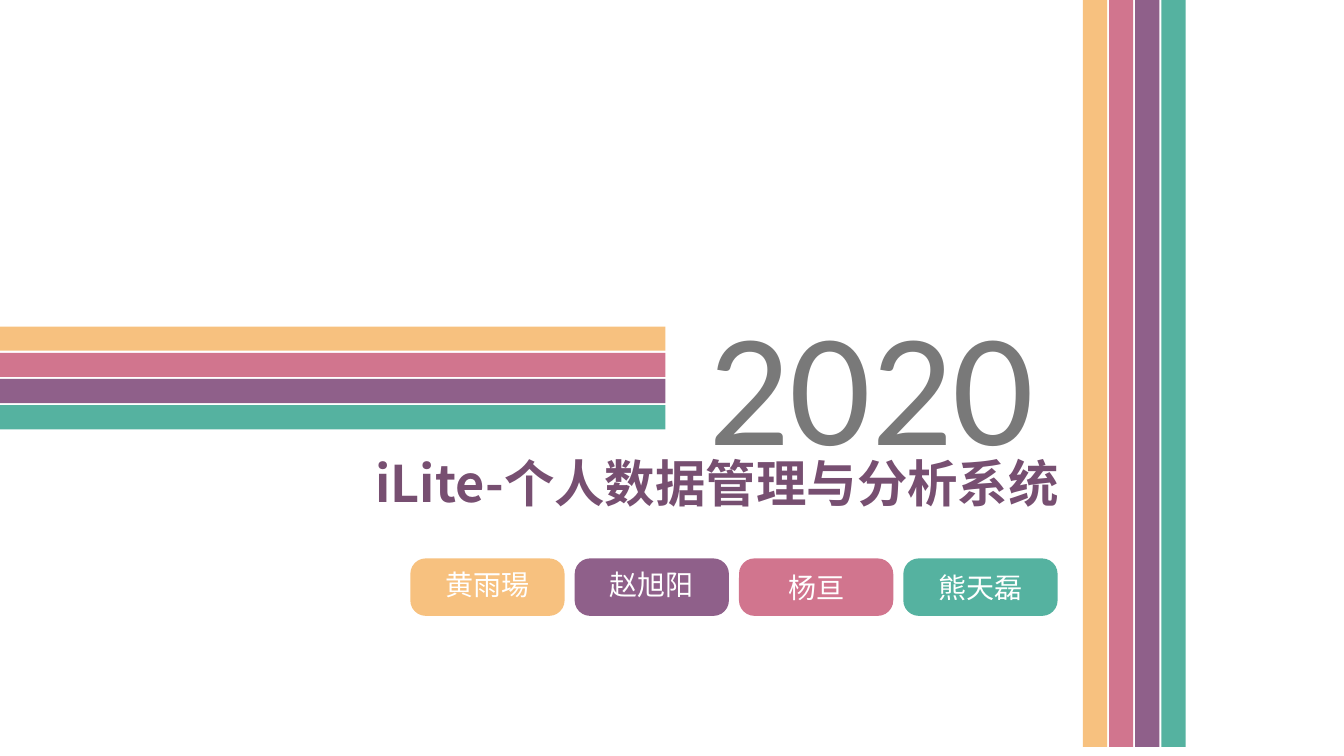
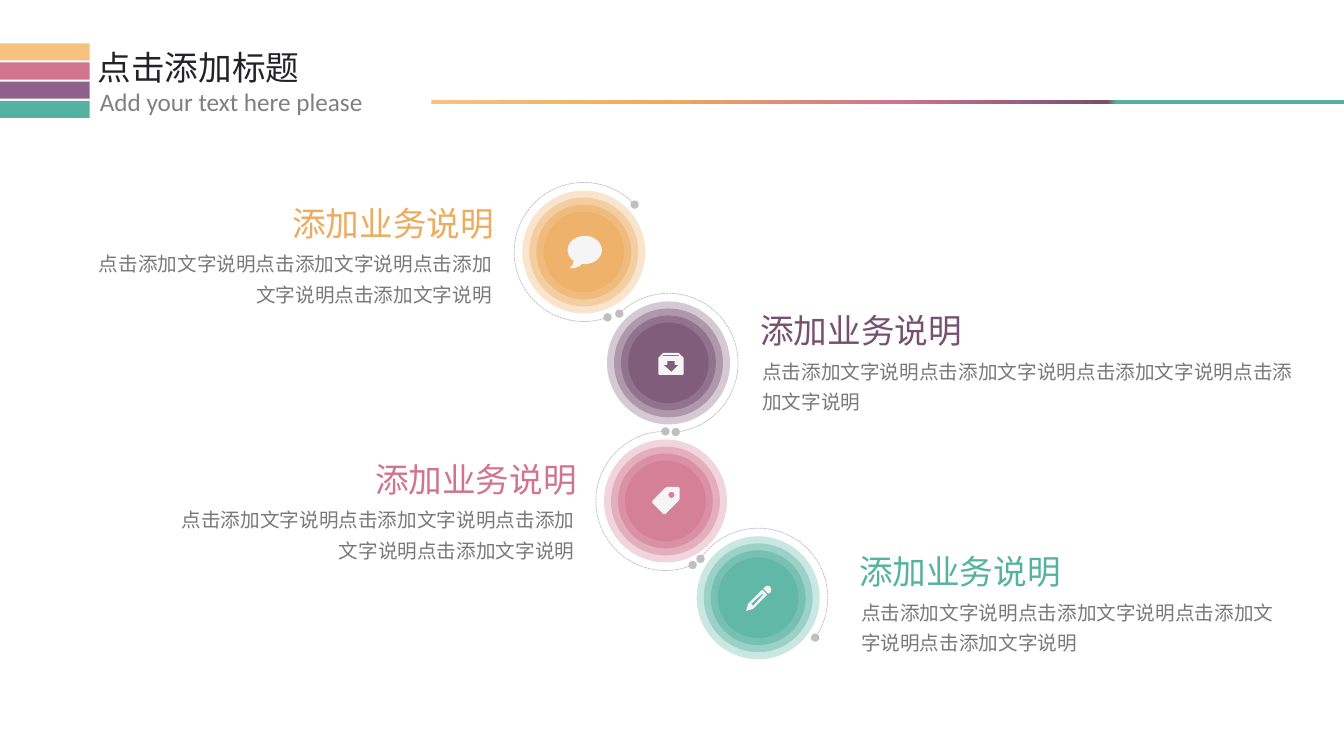
import math

from lxml import etree
from pptx import Presentation
from pptx.dml.color import RGBColor
from pptx.enum.dml import MSO_LINE
from pptx.enum.shapes import MSO_SHAPE
from pptx.enum.text import MSO_ANCHOR, PP_ALIGN
from pptx.oxml.ns import qn
from pptx.util import Inches, Pt

RECT, ROUND, OVAL, ARC = (MSO_SHAPE.RECTANGLE, MSO_SHAPE.ROUNDED_RECTANGLE,
                          MSO_SHAPE.OVAL, MSO_SHAPE.ARC)
LEFT, CENTER, RIGHT = PP_ALIGN.LEFT, PP_ALIGN.CENTER, PP_ALIGN.RIGHT
TOP, MIDDLE = MSO_ANCHOR.TOP, MSO_ANCHOR.MIDDLE
DASH = MSO_LINE.SQUARE_DOT

# Shared style
YELLOW, PINK, PURPLE, TEAL = "F7C17F", "D1758E", "8F608A", "55B2A0"
STRIPES = [YELLOW, PINK, PURPLE, TEAL]
ORANGE, PLUM = "EDAC5D", "774F71"
WHITE, INK, GREY, SUBTITLE_GREY = "FFFFFF", "232226", "797979", "808080"
ORBIT_GREY, ICON_WHITE = "BFBFBF", "F5F5F5"
LATIN, CJK = "Calibri", "Noto Sans CJK SC"
INSET = 0.05


def oval(cx, cy, rx, ry, start=0, end=360, step=10):
    """Points along an ellipse, clockwise from start to end degrees."""
    angles = [math.radians(a) for a in range(start, end + 1, step)]
    return [(cx + rx * math.cos(a), cy + ry * math.sin(a)) for a in angles]


# Cover content: member, chip colour, font, bottom inset of the chip
YEAR = "2020"
COVER_TITLE = "iLite-个人数据管理与分析系统"
MEMBERS = [("黄雨瑒", YELLOW, LATIN, 0.11), ("赵旭阳", PURPLE, LATIN, 0.11),
           ("杨亘", PINK, CJK, INSET), ("熊天磊", TEAL, CJK, INSET)]

# Content slide
HEADING, SUBHEADING = "点击添加标题", "Add your text here please"
RULE_STOPS = [(0, YELLOW), (25, ORANGE), (50, PINK), (74, PLUM), (75, TEAL), (100, TEAL)]
NODE_TITLE = "添加业务说明"
NODE_BODY = "点击添加文字说明" * 4
RINGS = [(1.22, 30), (1.08, 40), (0.94, 50), (0.8, 60)]  # diameter, opacity
ORBIT_RADIUS = 0.69

# Icon outlines, in inches from the centre of their disc
BUBBLE = [oval(0.01, -0.02, 0.17, 0.14, 130, 460)
          + [(-0.04, 0.14), (-0.09, 0.16), (-0.14, 0.16), (-0.11, 0.13), (-0.1, 0.09)]]
ARCHIVE = [
    [(0.1, -0.1), (-0.05, -0.1), (-0.1, -0.05), (-0.1, 0.11), (-0.09, 0.12),
     (0.14, 0.12), (0.15, 0.11), (0.15, -0.05)],
    [(0.03, 0.09), (-0.05, 0.02), (-0.01, 0.02), (-0.01, -0.02), (0.06, -0.02),
     (0.06, 0.02), (0.1, 0.02)],
    [(-0.06, -0.07), (-0.05, -0.08), (0.1, -0.08), (0.11, -0.07)]]
TAG = [
    [(0.12, -0.14), (0.02, -0.14), (0, -0.13), (-0.13, 0), (-0.13, 0.02), (-0.02, 0.13),
     (0, 0.13), (0.13, 0), (0.14, -0.02), (0.14, -0.13)],
    oval(0.06, -0.06, 0.03, 0.03)[::-1]]
PENCIL = [
    [(0.09, -0.12), (0.12, -0.11), (0.13, -0.08), (0.12, -0.05), (0.1, -0.04),
     (0.05, -0.09), (0.07, -0.11)],
    [(-0.1, 0.06), (-0.12, 0.13), (-0.05, 0.11), (0.09, -0.03), (0.04, -0.08)],
    [(0.05, -0.03), (-0.05, 0.08), (-0.07, 0.06), (0.04, -0.04)]]

# Disc centre, orbit angles, text side, text edge, text top, body width
NODES = [
    dict(color=ORANGE, center=(5.79, 2.5), orbit=(70, 317), icon=BUBBLE,
         align=RIGHT, edge=4.95, top=1.96, body_width=4.19),
    dict(color=PINK, center=(6.6, 4.97), orbit=(67, 270), icon=TAG,
         align=RIGHT, edge=5.77, top=4.5, body_width=4.19),
    dict(color=PLUM, center=(6.63, 3.6), orbit=(225, 84), icon=ARCHIVE,
         align=LEFT, edge=7.49, top=3.03, body_width=5.37),
    dict(color=TEAL, center=(7.52, 5.93), orbit=(214, 35), icon=PENCIL,
         align=LEFT, edge=8.47, top=5.42, body_width=4.3),
]


def rgb(hex_color):
    return RGBColor.from_string(hex_color)


def paint(shape, color, opacity=100):
    shape.shadow.inherit = False
    shape.line.fill.background()
    shape.fill.solid()
    shape.fill.fore_color.rgb = rgb(color)
    if opacity < 100:
        clr = shape._element.spPr.find(".//" + qn("a:srgbClr"))
        etree.SubElement(clr, qn("a:alpha"), val=str(opacity * 1000))


def add_block(slide, kind, box, color, opacity=100):
    shape = slide.shapes.add_shape(kind, *map(Inches, box))
    paint(shape, color, opacity)
    return shape


def write(shape, text, size, color, font=CJK, align=LEFT, anchor=TOP, bold=False,
          spacing=None, bottom=INSET):
    frame = shape.text_frame
    frame.word_wrap = True
    frame.vertical_anchor = anchor
    frame.margin_left = frame.margin_right = frame.margin_top = Inches(INSET)
    frame.margin_bottom = Inches(bottom)
    paragraph = frame.paragraphs[0]
    paragraph.alignment = align
    if spacing:
        paragraph.line_spacing = spacing
    run = paragraph.add_run()
    run.text = text
    run.font.size, run.font.bold, run.font.name = Pt(size), bold, font
    run.font.color.rgb = rgb(color)
    etree.SubElement(run._r.get_or_add_rPr(), qn("a:ea"), typeface=font)


def add_text(slide, box, *args, **style):
    write(slide.shapes.add_textbox(*map(Inches, box)), *args, **style)


def add_stripes(slide, left, top, width, height, step_x=0, step_y=0):
    for i, color in enumerate(STRIPES):
        add_block(slide, RECT, (left + i * step_x, top + i * step_y, width, height), color)


def add_header(slide):
    add_stripes(slide, 0, 0.43, 0.89, 0.17, step_y=0.19)
    add_text(slide, (0.92, 0.42, 2.26, 0.56), HEADING, 24, INK)
    add_text(slide, (0.94, 0.81, 3.57, 0.41), SUBHEADING, 18, SUBTITLE_GREY, font=LATIN)
    rule = add_block(slide, RECT, (4.28, 0.99, 9.06, 0.04), YELLOW)
    rule.fill.gradient()
    rule.fill.gradient_angle = 0
    stops = rule._element.spPr.find(".//" + qn("a:gsLst"))
    for stop in list(stops):
        stops.remove(stop)
    for position, color in RULE_STOPS:
        stop = etree.SubElement(stops, qn("a:gs"), pos=str(position * 1000))
        etree.SubElement(stop, qn("a:srgbClr"), val=color)


def centered(cx, cy, size):
    return cx - size / 2, cy - size / 2, size, size


def add_orbit(slide, center, angles):
    orbit = add_block(slide, ARC, centered(*center, 2 * ORBIT_RADIUS), WHITE)
    orbit.fill.background()
    for i, degrees in enumerate(angles):
        orbit.adjustments[i] = degrees * 0.6  # 60000 units a degree, scaled by 100000
    orbit.line.color.rgb = rgb(ORBIT_GREY)
    orbit.line.width = Pt(0.5)
    orbit.line.dash_style = DASH
    for end in ("a:headEnd", "a:tailEnd"):
        etree.SubElement(orbit.line._get_or_add_ln(), qn(end), type="oval")


def add_icon(slide, center, outlines):
    contours = [[(Inches(center[0] + x), Inches(center[1] + y)) for x, y in outline]
                for outline in outlines]
    builder = slide.shapes.build_freeform(*contours[0][0])
    for i, points in enumerate(contours):
        if i:
            builder.move_to(*points[0])
        builder.add_line_segments(points[1:], close=True)
    paint(builder.convert_to_shape(), ICON_WHITE)


def add_node(slide, node):
    for diameter, opacity in RINGS:
        add_block(slide, OVAL, centered(*node["center"], diameter), node["color"], opacity)
    add_orbit(slide, node["center"], node["orbit"])
    add_icon(slide, node["center"], node["icon"])

    # Title and body hang from one edge, on the side of the disc
    align, edge, top = node["align"], node["edge"], node["top"]
    title_width, body_width = 2.4, node["body_width"]
    title_left, body_left = edge, edge + 0.02
    if align == RIGHT:
        title_left, body_left = edge - title_width, edge - 0.02 - body_width
    add_text(slide, (title_left, top, title_width, 0.56), NODE_TITLE, 24,
             node["color"], align=align)
    add_text(slide, (body_left, top + 0.42, body_width, 0.74), NODE_BODY, 14,
             GREY, align=align, spacing=1.3)


def build_cover(slide):
    add_text(slide, (6.4, 2.77, 4.49, 2.02), YEAR, 115, GREY, font=LATIN, align=CENTER)
    add_stripes(slide, 0, 3.24, 6.6, 0.24, step_y=0.26)
    add_text(slide, (3.02, 4.44, 7.53, 0.71), COVER_TITLE, 36, PLUM, align=RIGHT, bold=True)
    add_stripes(slide, 10.74, 0, 0.24, 7.41, step_x=0.26)
    for i, (member, color, font, bottom) in enumerate(MEMBERS):
        chip = add_block(slide, ROUND, (4.07 + i * 1.63, 5.54, 1.53, 0.57), color)
        chip.adjustments[0] = 0.27
        write(chip, member, 20, WHITE, font=font, align=CENTER, anchor=MIDDLE, bottom=bottom)


def build_content(slide):
    for node in NODES:
        add_node(slide, node)
    add_header(slide)


def main():
    deck = Presentation()
    deck.slide_width, deck.slide_height = Inches(13.33), Inches(7.5)
    blank = deck.slide_layouts[6]
    for build in (build_cover, build_content):
        build(deck.slides.add_slide(blank))
    deck.save("out.pptx")


if __name__ == "__main__":
    main()
